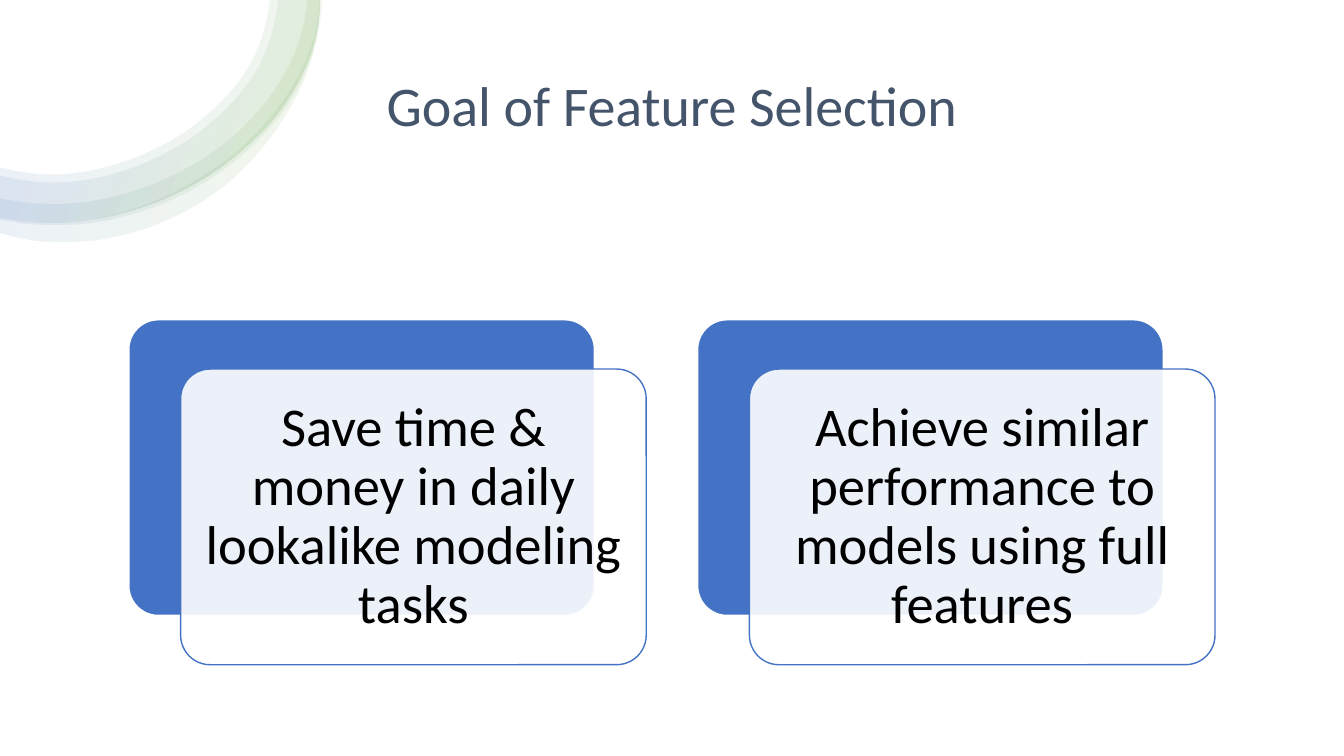
from math import dist

from lxml import etree
from pptx import Presentation
from pptx.dml.color import RGBColor
from pptx.enum.shapes import MSO_SHAPE as Shape
from pptx.enum.text import MSO_ANCHOR as Anchor, PP_ALIGN as Align
from pptx.oxml import parse_xml
from pptx.oxml.ns import nsdecls, qn
from pptx.util import Pt

TITLE = "Goal of Feature Selection"
GOALS = [
    "Save time & money in daily lookalike modeling tasks",
    "Achieve similar performance to models using full features",
]

WHITE = RGBColor(0xFF, 0xFF, 0xFF)
BLACK = RGBColor(0, 0, 0)
BLUE = RGBColor(0x44, 0x72, 0xC4)
GREEN = RGBColor(0x70, 0xAD, 0x47)
SLATE = RGBColor(0x44, 0x54, 0x6A)
FONT = "Calibri"

SLIDE_WIDTH, SLIDE_HEIGHT = 960, 540

# Corner ribbons: knots of each edge, in points
WIDE_OUTER = [(228, 0), (222, 37), (205.6, 70.4), (161.3, 116.6),
              (101.7, 147.8), (35.3, 159.1), (0, 155.5)]
RIBBONS = [  # (outer edge from the top, inner edge from the left)
    (WIDE_OUTER,
     [(0, 119.5), (35.3, 124.6), (92.9, 113.8), (144, 85), (179.3, 43.9), (192.2, 0)]),
    (WIDE_OUTER,
     [(0, 125.3), (35.3, 130.3), (95, 119.5), (148.3, 89.3), (185, 46.1), (198, 0)]),
    ([(228.2, 0), (225.4, 27.4), (215.3, 56.9), (177.1, 106.6), (151.9, 126),
      (123.1, 141.8), (60.5, 159.1), (27.4, 159.8), (0, 156.2)],
     [(0, 141.1), (28.1, 144.7), (58.3, 144), (87.8, 138.2), (115.9, 128.2),
      (167, 96.5), (187.2, 75.6), (203.8, 51.1), (214.6, 25.2), (218.9, 0)]),
    ([(229.7, 0), (217.4, 55.4), (202.3, 84.2), (182.2, 110.9), (157.7, 133.9),
      (128.9, 151.9), (61.9, 171.4), (27.4, 171.4), (0, 165.6)],
     [(0, 155.5), (28.1, 158.4), (60.5, 157), (91.4, 149.8), (121, 138.2), (149, 122.4),
      (174.2, 103), (195.8, 79.9), (213.1, 53.3), (224.6, 23.8), (227.5, 0)]),
]
RIBBON_STOPS = [(2, WHITE), (16, GREEN), (85, BLUE), (100, WHITE)]
RIBBON_OPACITY = 10
RIBBON_ANGLE = 200

CARD_LEFT, CARD_TOP, CARD_PITCH = 92, 228.4, 406.3
CARD_WIDTH, CARD_HEIGHT = 332.6, 211.2
PANEL_DX, PANEL_DY = 37, 35.2
PANEL_OPACITY = 90


def smooth_edge(knots):
    """Return (control, control, end) for each Bezier span through the knots."""
    spans = list(zip(knots, knots[1:]))
    lengths = [dist(a, b) for a, b in spans]
    slopes = [((b[0] - a[0]) / n, (b[1] - a[1]) / n) for (a, b), n in zip(spans, lengths)]
    tangents = [
        tuple((m * u + n * v) / (m + n) for u, v in zip(after, before))
        for before, after, n, m in zip(slopes, slopes[1:], lengths[1:], lengths)]
    first = tuple(2 * s - t for s, t in zip(slopes[0], tangents[0]))
    last = tuple(2 * s - t for s, t in zip(slopes[-1], tangents[-1]))
    tangents = [first, *tangents, last]
    return [
        (tuple(p + t * n / 3 for p, t in zip(a, leaving)),
         tuple(p - t * n / 3 for p, t in zip(b, arriving)), b)
        for (a, b), n, leaving, arriving in zip(spans, lengths, tangents, tangents[1:])]


def add_ribbon(shapes, outer, inner):
    corners = [(Pt(x), Pt(y)) for x, y in outer + inner]
    builder = shapes.build_freeform(*corners[0])
    builder.add_line_segments(corners[1:], close=True)
    ribbon = builder.convert_to_shape()
    ribbon.shadow.inherit = False
    ribbon.line.fill.background()
    ribbon.fill.background()

    # Bend every straight side except the cut between the two edges
    sides = list(ribbon._element.iter(qn("a:lnTo")))
    del sides[len(outer) - 1]
    for side, controls in zip(sides, smooth_edge(outer) + smooth_edge(inner)):
        curve = etree.Element(qn("a:cubicBezTo"))
        for x, y in controls:
            etree.SubElement(curve, qn("a:pt"), x=str(int(Pt(x))), y=str(int(Pt(y))))
        side.getparent().replace(side, curve)

    stops = "".join(
        f'<a:gs pos="{pos * 1000}"><a:srgbClr val="{color}">'
        f'<a:alpha val="{RIBBON_OPACITY * 1000}"/></a:srgbClr></a:gs>'
        for pos, color in RIBBON_STOPS)
    gradient = parse_xml(
        f'<a:gradFill {nsdecls("a")} rotWithShape="1"><a:gsLst>{stops}</a:gsLst>'
        f'<a:lin ang="{RIBBON_ANGLE * 60000}" scaled="0"/></a:gradFill>')
    properties = ribbon.fill._xPr
    properties.replace(properties.find(qn("a:noFill")), gradient)


def add_card(shapes, left, top, fill, line, opacity=100):
    card = shapes.add_shape(Shape.ROUNDED_RECTANGLE, Pt(left), Pt(top),
                            Pt(CARD_WIDTH), Pt(CARD_HEIGHT))
    card.adjustments[0] = 0.1
    card.shadow.inherit = False
    card.fill.solid()
    card.fill.fore_color.rgb = fill
    card.line.color.rgb = line
    card.line.width = Pt(1)
    if opacity < 100:
        color = card.fill._xPr.find(f'{qn("a:solidFill")}/{qn("a:srgbClr")}')
        etree.SubElement(color, qn("a:alpha"), val=str(opacity * 1000))
    return card


def write_text(shape, text, *, size, color, margin):
    frame = shape.text_frame
    frame.word_wrap = True
    frame.vertical_anchor = Anchor.MIDDLE
    frame.margin_left = frame.margin_right = Pt(margin)
    frame.margin_top = frame.margin_bottom = Pt(margin)
    paragraph = frame.paragraphs[0]
    paragraph.text = text
    paragraph.alignment = Align.CENTER
    paragraph.line_spacing = 0.9
    paragraph.font.name = FONT
    paragraph.font.size = Pt(size)
    paragraph.font.color.rgb = color


def main():
    deck = Presentation()
    deck.slide_width, deck.slide_height = Pt(SLIDE_WIDTH), Pt(SLIDE_HEIGHT)
    shapes = deck.slides.add_slide(deck.slide_layouts[6]).shapes

    backdrop = shapes.add_shape(Shape.RECTANGLE, 0, 0, Pt(SLIDE_WIDTH), Pt(SLIDE_HEIGHT))
    backdrop.shadow.inherit = False
    backdrop.fill.solid()
    backdrop.fill.fore_color.rgb = WHITE
    backdrop.line.fill.background()

    title = shapes.add_textbox(Pt(92.9), Pt(25.2), Pt(774), Pt(104.4))
    write_text(title, TITLE, size=40, color=SLATE, margin=4)

    for outer, inner in RIBBONS:
        add_ribbon(shapes, outer, inner)

    for column, goal in enumerate(GOALS):
        left = CARD_LEFT + column * CARD_PITCH
        add_card(shapes, left, CARD_TOP, BLUE, WHITE)
        panel = add_card(shapes, left + PANEL_DX, CARD_TOP + PANEL_DY,
                         WHITE, BLUE, PANEL_OPACITY)
        write_text(panel, goal, size=39, color=BLACK, margin=11.5)

    deck.save("out.pptx")


if __name__ == "__main__":
    main()
